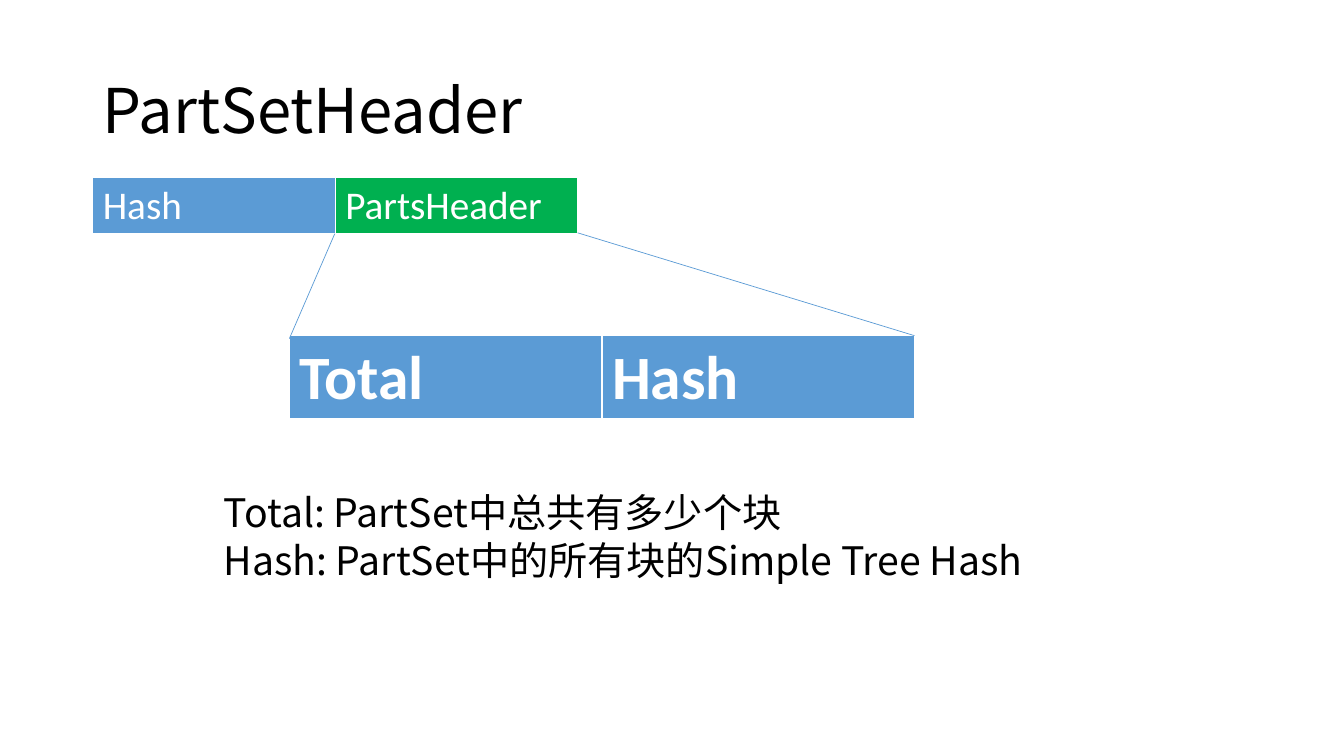
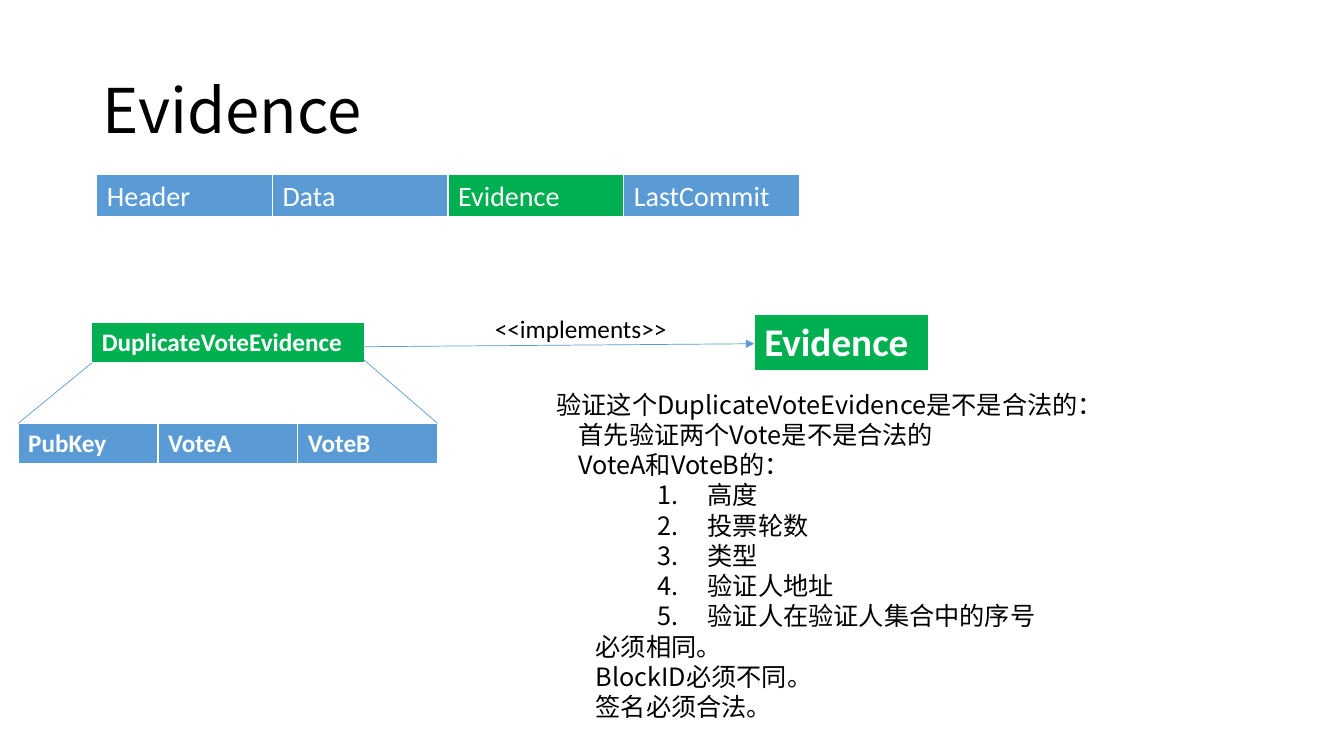
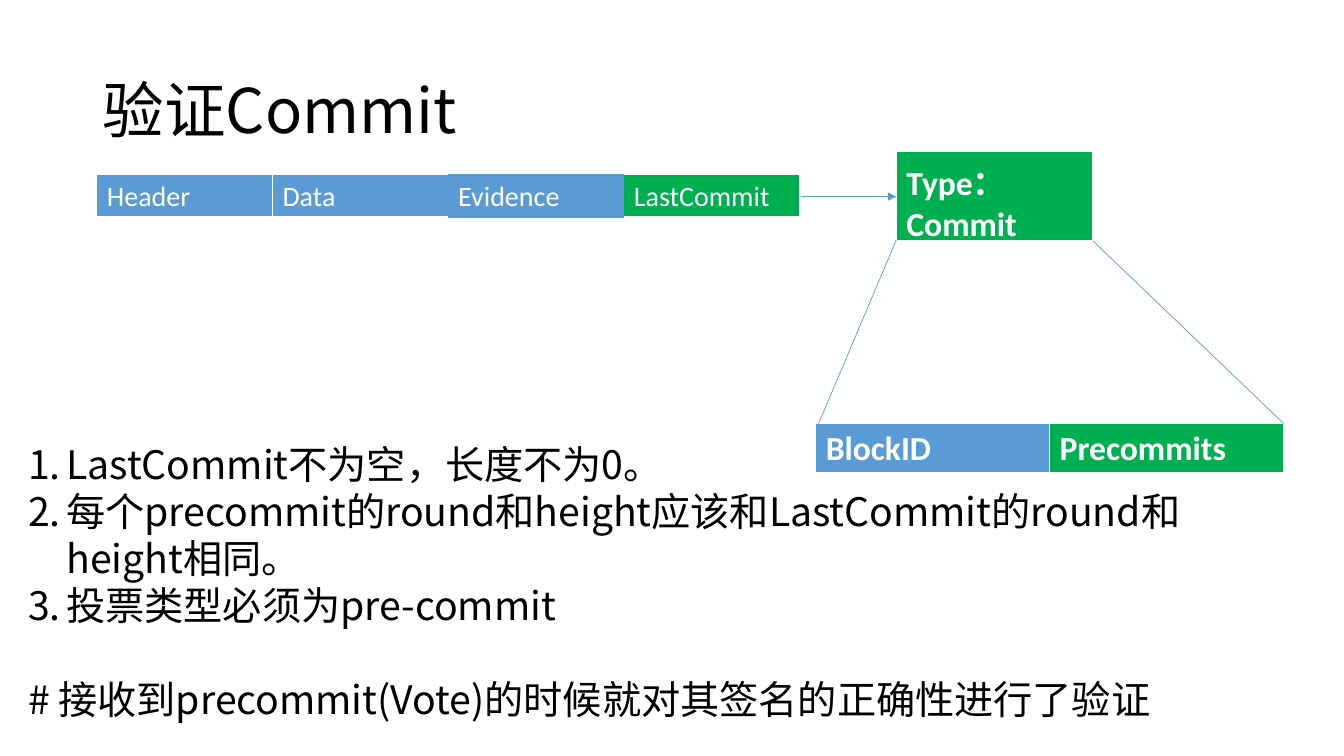
"""Build three slides that explain block structures and their validation."""
from dataclasses import dataclass

from lxml.etree import SubElement
from pptx import Presentation
from pptx.dml.color import RGBColor
from pptx.enum.shapes import MSO_CONNECTOR
from pptx.enum.text import MSO_ANCHOR
from pptx.oxml.ns import qn
from pptx.util import Inches, Pt


@dataclass(frozen=True)
class Theme:
    """Colours, fonts and type sizes shared by all slides."""

    blue: RGBColor = RGBColor(0x5B, 0x9B, 0xD5)
    green: RGBColor = RGBColor(0x00, 0xB0, 0x50)
    white: RGBColor = RGBColor(0xFF, 0xFF, 0xFF)
    black: RGBColor = RGBColor(0, 0, 0)
    table_font: str = "Calibri"
    text_font: str = "Noto Sans CJK SC"
    title: int = 44
    large: int = 28
    medium: int = 24
    field: int = 20
    small: int = 18
    hairline: float = 0.5


@dataclass(frozen=True)
class Line:
    """One paragraph with its indent, numbering and space before."""

    text: str
    left: float = 0
    hanging: float = 0
    numbered: bool = False
    before: float = 0


def apply_format(target, values):
    """Set every named attribute on the target."""
    for name, value in values.items():
        setattr(target, name, value)


class Deck:
    """Holds the style and the current slide, and draws each kind of element."""

    def __init__(self, theme):
        """Start a wide presentation."""
        self.theme = theme
        self.presentation = Presentation()
        apply_format(self.presentation, {"slide_width": Inches(13.33), "slide_height": Inches(7.5)})
        self.slide = None

    def add_slide(self, title):
        """Open a blank slide and set its title."""
        self.slide = self.presentation.slides.add_slide(self.presentation.slide_layouts[6])
        frame = self.text((0.92, 0.4, 11.5, 1.45), [Line(title)], self.theme.title)
        frame.vertical_anchor = MSO_ANCHOR.MIDDLE
        frame.paragraphs[0].line_spacing = 0.9

    def styled_run(self, paragraph, text, size, font, color, bold=False):
        """Add one formatted run to a paragraph."""
        run = paragraph.add_run()
        run.text = text
        apply_format(run.font, {"size": Pt(size), "name": font, "bold": bold})
        run.font.color.rgb = color
        east_asian = SubElement(run._r.get_or_add_rPr(), qn("a:ea"))
        east_asian.set("typeface", self.theme.text_font)

    def text(self, box, lines, size, font=None):
        """Add a wrapped text box with one paragraph per line."""
        frame = self.slide.shapes.add_textbox(*map(Inches, box)).text_frame
        frame.word_wrap = True
        for index, line in enumerate(lines):
            paragraph = frame.add_paragraph() if index else frame.paragraphs[0]
            paragraph.space_before = Pt(line.before)
            properties = paragraph._p.get_or_add_pPr()
            properties.set("marL", str(Inches(line.left)))
            properties.set("indent", str(Inches(-line.hanging)))
            if line.numbered:
                SubElement(properties, qn("a:buAutoNum")).set("type", "arabicPeriod")
            self.styled_run(paragraph, line.text, size, font or self.theme.text_font,
                            self.theme.black)
        return frame

    def border(self, cell, sides):
        """Draw white borders on the given sides and none on the others."""
        properties = cell._tc.get_or_add_tcPr()
        for position, side in enumerate("LRTB"):
            edge = SubElement(properties, qn(f"a:ln{side}"))
            properties.insert(position, edge)
            edge.set("w", str(Pt(3 if side == "B" else 1)))
            if side in sides:
                fill = SubElement(edge, qn("a:solidFill"))
                SubElement(fill, qn("a:srgbClr")).set("val", str(self.theme.white))
            else:
                SubElement(edge, qn("a:noFill"))

    def fields(self, box, names, size, green=(), bold=True, sides=None):
        """Add a one-row table of equal fields, some of them green."""
        table = self.slide.shapes.add_table(1, len(names), *map(Inches, box)).table
        apply_format(table, {"first_row": False, "horz_banding": False})
        for index, name in enumerate(names):
            table.columns[index].width = Inches(box[2] / len(names))
            cell = table.cell(0, index)
            cell.fill.solid()
            cell.fill.fore_color.rgb = self.theme.green if name in green else self.theme.blue
            self.border(cell, (sides or {}).get(name, "LRTB"))
            self.styled_run(cell.text_frame.paragraphs[0], name, size,
                            self.theme.table_font, self.theme.white, bold)

    def block(self, green, sides=None):
        """Add the four fields of a block with one of them green."""
        self.fields((0.96, 1.73, 6.97, 0.43), ["Header", "Data", "Evidence", "LastCommit"],
                    self.theme.field, [green], False, sides)

    def line(self, start, end, arrow=False):
        """Add a thin straight line, with an arrowhead at its end if asked."""
        connector = self.slide.shapes.add_connector(
            MSO_CONNECTOR.STRAIGHT, *map(Inches, start + end))
        connector.line.color.rgb = self.theme.blue
        connector.line.width = Pt(self.theme.hairline)
        if arrow:
            SubElement(connector.line._get_or_add_ln(), qn("a:tailEnd")).set("type", "triangle")
        SubElement(connector._element.spPr, qn("a:effectLst"))


def part_set_header(deck):
    """Show the fields of the part set header."""
    theme = deck.theme
    deck.add_slide("PartSetHeader")
    deck.fields((0.92, 1.76, 4.81, 0.57), ["Hash", "PartsHeader"], theme.large,
                ["PartsHeader"], False)
    deck.fields((2.87, 3.33, 6.2, 0.83), ["Total", "Hash"], theme.title)
    deck.line((3.32, 2.32), (2.87, 3.36))
    deck.line((5.73, 2.31), (9.07, 3.33))
    deck.text((2.12, 4.8, 8.49, 1.04), [
        Line("Total: PartSet中总共有多少个块"),
        Line("Hash: PartSet中的所有块的Simple Tree Hash"),
    ], theme.large)


def evidence(deck):
    """Show duplicate vote evidence and the rules it must meet."""
    theme = deck.theme
    deck.add_slide("Evidence")
    deck.block("Evidence")
    deck.fields((7.48, 3.12, 1.73, 0.57), ["Evidence"], theme.large, ["Evidence"])
    deck.fields((0.91, 3.2, 2.71, 0.41), ["DuplicateVoteEvidence"], theme.small,
                ["DuplicateVoteEvidence"])
    deck.fields((0.18, 4.2, 4.16, 0.41), ["PubKey", "VoteA", "VoteB"], theme.small)
    deck.line((0.91, 3.6), (0.18, 4.2))
    deck.line((3.61, 3.57), (4.34, 4.2))
    deck.line((3.6, 3.44), (7.48, 3.41), arrow=True)
    deck.text((4.81, 3.06, 2.24, 0.4), [Line("<<implements>>")], theme.small, theme.table_font)
    checks = ["首先验证两个Vote是不是合法的", "VoteA和VoteB的："]
    matching = ["高度", "投票轮数", "类型", "验证人地址", "验证人在验证人集合中的序号"]
    results = ["必须相同。", "BlockID必须不同。", "签名必须合法。"]
    deck.text((5.42, 3.81, 6.91, 3.43), [
        Line("验证这个DuplicateVoteEvidence是不是合法的："),
        *(Line(check, left=0.22) for check in checks),
        *(Line(item, left=1.5, hanging=0.5, numbered=True) for item in matching),
        *(Line(result, left=0.39) for result in results),
    ], theme.small)


def commit(deck):
    """Show the commit type and the rules of its validation."""
    theme = deck.theme
    deck.add_slide("验证Commit")
    deck.block("LastCommit", {"Data": "LTB", "Evidence": "", "LastCommit": "RTB"})
    deck.fields((8.89, 1.5, 1.95, 0.9), ["Type： Commit"], theme.medium, ["Type： Commit"])
    deck.line((7.94, 1.95), (8.89, 1.95), arrow=True)
    deck.fields((8.09, 4.2, 4.64, 0.5), ["BlockID", "Precommits"], theme.medium, ["Precommits"])
    deck.line((8.89, 2.38), (8.12, 4.2))
    deck.line((10.84, 2.39), (12.73, 4.2))
    rules = [
        "LastCommit不为空，长度不为0。",
        "每个precommit的round和height应该和LastCommit的round和height相同。",
        "投票类型必须为pre-commit",
    ]
    deck.text((0.18, 4.32, 11.94, 2.93), [
        *(Line(rule, left=0.38, hanging=0.38, numbered=True) for rule in rules),
        Line("# 接收到precommit(Vote)的时候就对其签名的正确性进行了验证", before=33.6),
    ], theme.large)


deck = Deck(Theme())
for build in (part_set_header, evidence, commit):
    build(deck)
deck.presentation.save("out.pptx")
